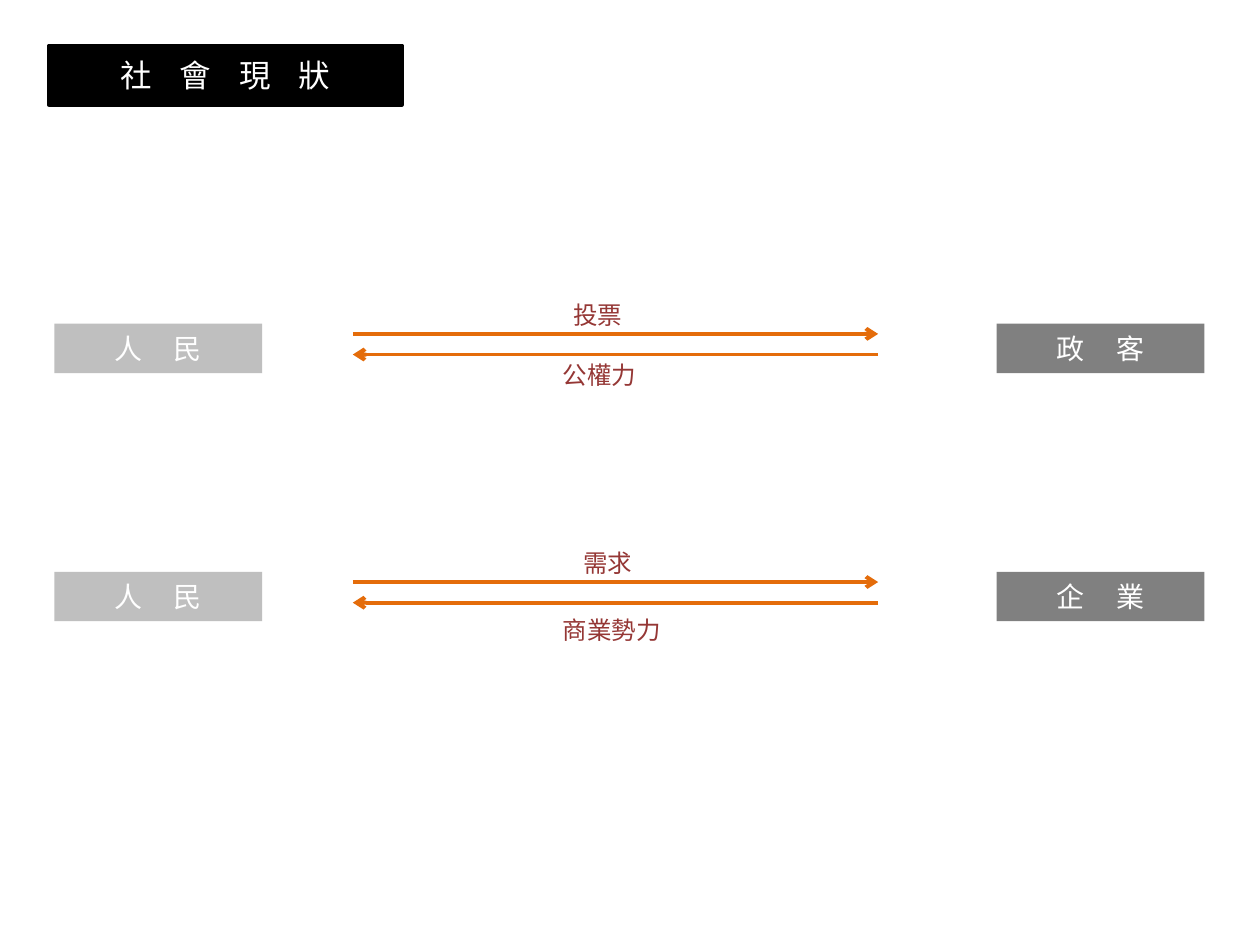
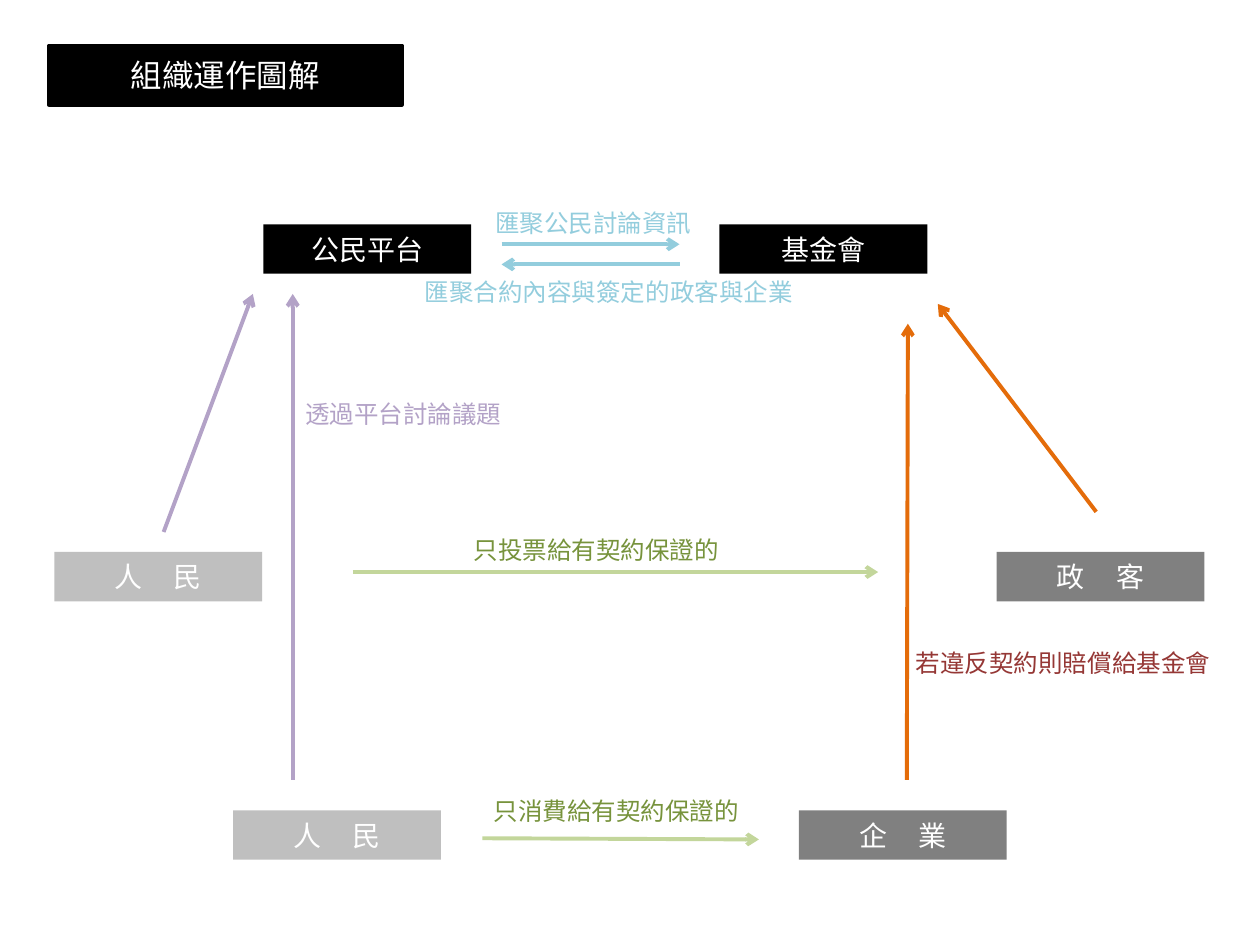
from lxml.etree import SubElement
from pptx import Presentation
from pptx.dml.color import RGBColor
from pptx.enum.shapes import MSO_CONNECTOR, MSO_SHAPE
from pptx.enum.text import MSO_ANCHOR, MSO_AUTO_SIZE, PP_ALIGN
from pptx.oxml.ns import qn
from pptx.util import Pt

FONT = "Noto Sans CJK SC"
BLACK = RGBColor(0x00, 0x00, 0x00)
WHITE = RGBColor(0xFF, 0xFF, 0xFF)
GRAY = RGBColor(0x80, 0x80, 0x80)
SILVER = RGBColor(0xBF, 0xBF, 0xBF)
ORANGE = RGBColor(0xE4, 0x6C, 0x0A)
MAROON = RGBColor(0x95, 0x37, 0x35)
LIME = RGBColor(0xC3, 0xD6, 0x9B)
GREEN = RGBColor(0x77, 0x93, 0x3C)
CYAN = RGBColor(0x93, 0xCD, 0xDD)
PURPLE = RGBColor(0xB3, 0xA2, 0xC7)

BOX_WIDTH, BOX_HEIGHT = 118.8, 28.2
LABEL_HEIGHT = 24.2
LEFT_BOX, RIGHT_BOX = 31, 569.5
ARROW_LEFT, ARROW_RIGHT = 201.6, 501.8


def write_text(shape, text, size=14, color=WHITE, align=PP_ALIGN.LEFT,
               anchor=MSO_ANCHOR.TOP, spacing=0):
    """Put one formatted line of text into a shape."""
    frame = shape.text_frame
    frame.word_wrap = True
    frame.auto_size = MSO_AUTO_SIZE.NONE
    frame.vertical_anchor = anchor
    paragraph = frame.paragraphs[0]
    paragraph.alignment = align
    run = paragraph.add_run()
    run.text = text
    run.font.size = Pt(size)
    run.font.name = FONT
    run.font.color.rgb = color
    properties = run._r.get_or_add_rPr()
    SubElement(properties, qn("a:ea")).set("typeface", FONT)
    if spacing:
        properties.set("spc", str(round(spacing * 100)))


def add_titled_slide(presentation, title, spacing=0):
    """Add a slide with its title in a black band."""
    slide = presentation.slides.add_slide(presentation.slide_layouts[5])
    band = slide.shapes.title
    band.left, band.top, band.width, band.height = Pt(28), Pt(26), Pt(201.6), Pt(34)
    band.fill.solid()
    band.fill.fore_color.rgb = BLACK
    band.line.color.rgb = BLACK
    band.line.width = Pt(2)
    write_text(band, title, size=18, align=PP_ALIGN.CENTER,
               anchor=MSO_ANCHOR.MIDDLE, spacing=spacing)
    return slide


def add_box(slide, text, left, top, fill):
    """Add a filled actor box, spreading names that hold a space."""
    box = slide.shapes.add_shape(MSO_SHAPE.RECTANGLE, Pt(left), Pt(top),
                                 Pt(BOX_WIDTH), Pt(BOX_HEIGHT))
    box.shadow.inherit = False
    box.fill.solid()
    box.fill.fore_color.rgb = fill
    box.line.fill.background()
    write_text(box, text, size=16, align=PP_ALIGN.CENTER,
               anchor=MSO_ANCHOR.MIDDLE, spacing=7.2 if " " in text else 0)


def add_arrow(slide, start, end, color):
    """Add a straight arrow that points at its end."""
    arrow = slide.shapes.add_connector(MSO_CONNECTOR.STRAIGHT,
                                       *map(Pt, start), *map(Pt, end))
    arrow.line.color.rgb = color
    arrow.line.width = Pt(2.25)
    SubElement(arrow.line._get_or_add_ln(), qn("a:tailEnd")).set("type", "arrow")
    SubElement(arrow._element.spPr, qn("a:effectLst"))


def add_arrow_pair(slide, left, right, top, gap, color):
    """Add a rightward arrow with a leftward one below it."""
    add_arrow(slide, (left, top), (right, top), color)
    add_arrow(slide, (right, top + gap), (left, top + gap), color)


def add_label(slide, text, left, top, width, color):
    """Add a caption beside an arrow."""
    label = slide.shapes.add_textbox(Pt(left), Pt(top), Pt(width), Pt(LABEL_HEIGHT))
    write_text(label, text, color=color)


def build_society(presentation):
    """Show what the people exchange with politicians and companies."""
    slide = add_titled_slide(presentation, "社 會 現 狀", spacing=6)
    for top, partner in ((185, "政 客"), (326.8, "企 業")):
        add_box(slide, "人 民", LEFT_BOX, top, SILVER)
        add_box(slide, partner, RIGHT_BOX, top, GRAY)
        add_arrow_pair(slide, ARROW_LEFT, ARROW_RIGHT, top + 5.8, 11.8, ORANGE)
    for text, left, top, width in (
        ("投票", 320.4, 167.8, 67.7),
        ("公權力", 314.6, 202.3, 67.7),
        ("需求", 326.2, 309.6, 67.7),
        ("商業勢力", 314.6, 347.8, 79.2),
    ):
        add_label(slide, text, left, top, width, MAROON)


def build_organisation(presentation):
    """Show how the platform and the foundation tie the parties together."""
    slide = add_titled_slide(presentation, "組織運作圖解")
    for text, left, top, fill in (
        ("公民平台", 150.5, 128.2, BLACK),
        ("基金會", 411.1, 128.2, BLACK),
        ("人 民", LEFT_BOX, 315.4, SILVER),
        ("政 客", RIGHT_BOX, 315.4, GRAY),
        ("人 民", 133.2, 463, SILVER),
        ("企 業", 456.5, 463, GRAY),
    ):
        add_box(slide, text, left, top, fill)
    add_arrow_pair(slide, 286.6, 388.3, 139.6, 11.5, CYAN)
    for start, end, color in (
        ((ARROW_LEFT, 326.9), (ARROW_RIGHT, 326.9), LIME),
        ((275.6, 479), (433.7, 479.7), LIME),
        ((518.2, 445.7), (518.8, 185), ORANGE),
        ((626.4, 292.5), (535.9, 173.7), ORANGE),
        ((167.3, 445.7), (167.3, 168), PURPLE),
        ((93.5, 304), (144.5, 168), PURPLE),
    ):
        add_arrow(slide, start, end, color)
    for text, left, top, width, color in (
        ("匯聚公民討論資訊", 275.8, 115.2, 187.2, CYAN),
        ("匯聚合約內容與簽定的政客與企業", 235.6, 155, 227, CYAN),
        ("透過平台討論議題", 167.3, 224.6, 187.2, PURPLE),
        ("只投票給有契約保證的", 263.5, 302.4, 187.2, GREEN),
        ("只消費給有契約保證的", 275, 451.4, 187.2, GREEN),
        ("若違反契約則賠償給基金會", 516.2, 366.5, 203.8, MAROON),
    ):
        add_label(slide, text, left, top, width, color)


def main():
    """Build and save both slides."""
    presentation = Presentation()
    presentation.slide_width, presentation.slide_height = Pt(720), Pt(540)
    build_society(presentation)
    build_organisation(presentation)
    presentation.save("out.pptx")


if __name__ == "__main__":
    main()
